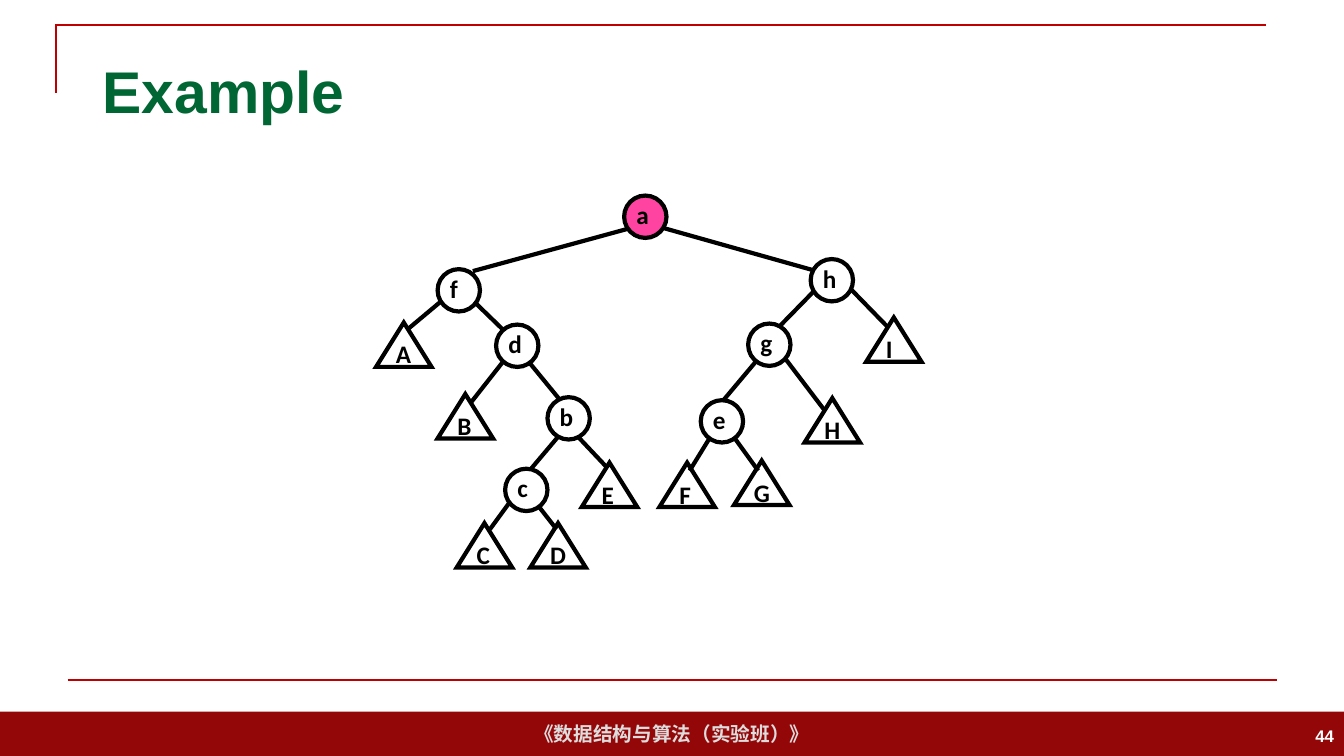
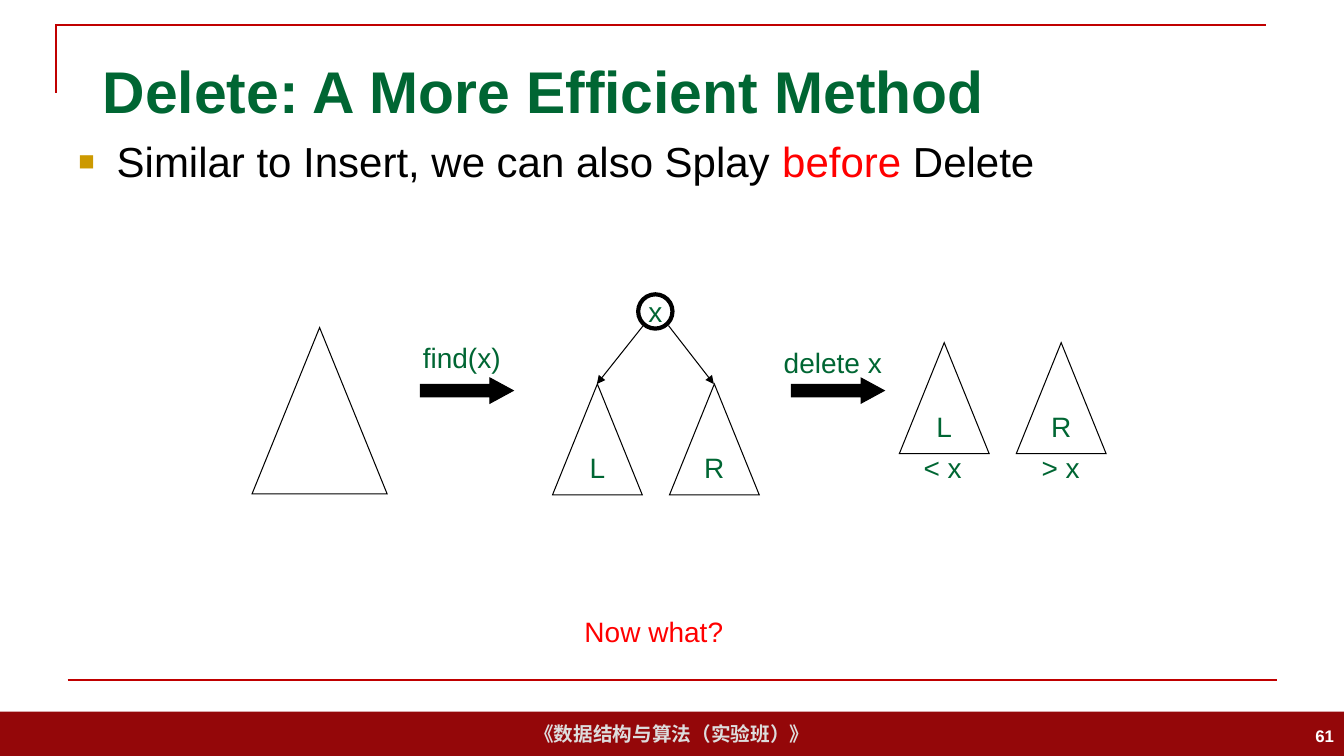
"""Build two slides on splay trees: an example tree and a more efficient delete."""
from lxml import etree
from pptx import Presentation
from pptx import util as u
from pptx.dml.color import RGBColor
from pptx.enum import shapes, text
from pptx.oxml import ns

PX = 9144
SLIDE_SIZE = (1333, 750)

BLACK = RGBColor(0, 0, 0)
WHITE = RGBColor(255, 255, 255)
GREEN = RGBColor(0x00, 0x66, 0x33)
RED = RGBColor(255, 0, 0)
RULE_RED = RGBColor(0xC0, 0, 0)
BAND_RED = RGBColor(0x94, 0x07, 0x09)
FOOTER_GREY = RGBColor(0xDD, 0xDD, 0xDD)
PINK = RGBColor(0xFF, 0x43, 0xA1)
GOLD = "CC9900"

LEFT, CENTER, RIGHT = text.PP_ALIGN.LEFT, text.PP_ALIGN.CENTER, text.PP_ALIGN.RIGHT
TOP, MIDDLE = text.MSO_ANCHOR.TOP, text.MSO_ANCHOR.MIDDLE
OVAL = shapes.MSO_SHAPE.OVAL
TRIANGLE = shapes.MSO_SHAPE.ISOSCELES_TRIANGLE
ARROW = shapes.MSO_SHAPE.RIGHT_ARROW

TITLE_FONT = dict(name="Arial", size=u.Pt(42), bold=True, color=GREEN)
FOOTER_FONT = dict(name="Arial", size=u.Pt(14), bold=True, color=FOOTER_GREY)
NUMBER_FONT = dict(name="Arial", size=u.Pt(12), bold=True, color=WHITE)
NODE_FONT = dict(name="Calibri", size=u.Pt(18), bold=True, color=BLACK)
LABEL_FONT = dict(name="Arial", size=u.Pt(20), color=GREEN)
BODY_FONT = dict(name="Arial", size=u.Pt(30), color=BLACK)

FOOTER = "《数据结构与算法（实验班）》"
CORNER = [(56, 92), (56, 25), (1256, 25)]
BOTTOM_RULE = (67, 675, 1267, 675)

NODE_SIZE, LEAF_SIZE = (42, 42), (55, 44)
NODE_MARGINS = (6, 1, 10, 5)
NODES = {
    "h": (804, 257), "g": (742, 321), "f": (434, 267), "e": (695, 397),
    "d": (492, 322), "c": (501, 465), "b": (543, 394), "a": (619, 194),
}
OPEN_LEAVES = {
    "H": (798, 395), "I": (859, 315), "G": (728, 457), "A": (373, 320),
    "C": (453, 519), "D": (526, 519), "F": (654, 459),
}
FILLED_LEAVES = {"E": (577, 459), "B": (434, 391)}
EDGES = {
    "ah": (643, 222, 817, 271), "af": (630, 225, 469, 269),
    "fA": (441, 296, 404, 327), "fd": (471, 300, 505, 333),
    "dB": (498, 360, 465, 402), "db": (522, 356, 554, 395),
    "bc": (558, 428, 520, 473), "bE": (573, 433, 606, 468),
    "cC": (505, 499, 486, 525), "cD": (523, 488, 552, 525),
    "hg": (813, 283, 770, 327), "hI": (844, 287, 880, 324),
    "ge": (752, 356, 715, 400), "gH": (779, 356, 817, 406),
    "eF": (703, 436, 684, 467), "eG": (726, 431, 752, 467),
}

BULLET_RUNS = [("Similar to Insert, we can also Splay ", BLACK), ("before", RED), (" Delete", BLACK)]
WHOLE_TREE = (250, 325, 134, 165)
SUBTREE_SIZE, SUBTREE_STEP = (89, 110), 116
JOINED_PAIR, SPLIT_PAIR = (548, 381), (892, 340)
ROOT = (633, 292, 34, 34)
ROOT_EXITS = [(638, 323), (663, 323)]
STEP_ARROWS = [(417, 375, 92, 25), (785, 375, 92, 25)]
CAPTIONS = [
    ("find(x)", (409, 333, 98, 44), GREEN),
    ("delete x", (767, 338, 118, 44), GREEN),
    ("< x", (906, 442, 58, 44), GREEN),
    ("> x", (1023, 442, 58, 44), GREEN),
    ("Now what?", (569, 605, 159, 44), RED),
]


def px(values):
    return [u.Emu(value * PX) for value in values]


def set_font(font, formats):
    for name, value in formats.items():
        if name == "color":
            font.color.rgb = value
        else:
            setattr(font, name, value)


def put_text(shape, runs, formats, align=LEFT, anchor=MIDDLE, wrap=False, margins=(10, 5, 10, 5)):
    frame = shape.text_frame
    sides = zip(("margin_left", "margin_top", "margin_right", "margin_bottom"), px(margins))
    for name, value in dict(sides, word_wrap=wrap, vertical_anchor=anchor).items():
        setattr(frame, name, value)
    paragraph = frame.paragraphs[0]
    paragraph.alignment = align
    for words, color in runs:
        run = paragraph.add_run()
        run.text = words
        set_font(run.font, dict(formats, color=color or formats["color"]))
    return paragraph


def add_label(slide, box, words, formats, **layout):
    return put_text(slide.shapes.add_textbox(*px(box)), [(words, None)], formats, **layout)


def paint(shape, fill=None, line=None, width=0.75):
    shape.shadow.inherit = False
    if fill is None:
        shape.fill.background()
    else:
        shape.fill.solid()
        shape.fill.fore_color.rgb = fill
    if line is None:
        shape.line.fill.background()
    else:
        shape.line.width = u.Pt(width)
        shape.line.color.rgb = line
        etree.SubElement(shape.line._get_or_add_ln(), ns.qn("a:miter"), lim="800000")


def add_figure(slide, kind, box, **style):
    shape = slide.shapes.add_shape(kind, *px(box))
    paint(shape, **style)
    return shape


def add_line(slide, ends, color=BLACK, width=0.75, arrow=False):
    connector = slide.shapes.add_connector(shapes.MSO_CONNECTOR.STRAIGHT, *px(ends))
    connector.line.width = u.Pt(width)
    connector.line.color.rgb = color
    if arrow:
        etree.SubElement(connector.line._get_or_add_ln(), ns.qn("a:tailEnd"), type="triangle")
    etree.SubElement(connector._element.spPr, ns.qn("a:effectLst"))


def add_slide(presentation, title, number):
    slide = presentation.slides.add_slide(presentation.slide_layouts[6])
    band = add_figure(slide, shapes.MSO_SHAPE.RECTANGLE, (0, 706, SLIDE_SIZE[0], 44), fill=BAND_RED)
    put_text(band, [(FOOTER, None)], FOOTER_FONT, align=CENTER)
    builder = slide.shapes.build_freeform(*CORNER[0], scale=PX)
    builder.add_line_segments(CORNER[1:], close=False)
    paint(builder.convert_to_shape(), line=RULE_RED, width=1.5)
    add_line(slide, BOTTOM_RULE, RULE_RED, 1.5)
    add_label(slide, (92, 40, 1150, 99), title, TITLE_FONT, wrap=True)
    add_label(slide, (1033, 710, 300, 40), str(number), NUMBER_FONT, align=RIGHT, wrap=True)
    return slide


def add_tree_parts(slide, kind, parts, size, fill=None):
    for name, place in parts.items():
        color = PINK if name == "a" else fill
        shape = add_figure(slide, kind, place + size, fill=color, line=BLACK, width=3)
        put_text(shape, [(name, None)], NODE_FONT, margins=NODE_MARGINS)


def add_subtrees(slide, left, top):
    apexes = []
    for index, name in enumerate("LR"):
        start = left + index * SUBTREE_STEP
        shape = add_figure(slide, TRIANGLE, (start, top) + SUBTREE_SIZE, line=BLACK)
        put_text(shape, [(name, None)], LABEL_FONT, align=CENTER)
        apexes.append((start + SUBTREE_SIZE[0] // 2, top))
    return apexes


def add_bullet(slide):
    body = slide.shapes.add_textbox(*px((68, 135, 1200, 491)))
    paragraph = put_text(body, BULLET_RUNS, BODY_FONT, anchor=TOP, wrap=True)
    paragraph.line_spacing = 0.9
    properties = paragraph._p.get_or_add_pPr()
    properties.set("marL", str(38 * PX))
    properties.set("indent", str(-38 * PX))
    color = etree.SubElement(properties, ns.qn("a:buClr"))
    etree.SubElement(color, ns.qn("a:srgbClr"), val=GOLD)
    etree.SubElement(properties, ns.qn("a:buSzPct"), val="65000")
    etree.SubElement(properties, ns.qn("a:buFont"), typeface="Arial")
    etree.SubElement(properties, ns.qn("a:buChar"), char="■")


def build_example(presentation):
    slide = add_slide(presentation, "Example", 44)
    add_tree_parts(slide, TRIANGLE, OPEN_LEAVES, LEAF_SIZE)
    for ends in EDGES.values():
        add_line(slide, ends, width=3)
    add_tree_parts(slide, OVAL, NODES, NODE_SIZE, WHITE)
    add_tree_parts(slide, TRIANGLE, FILLED_LEAVES, LEAF_SIZE, WHITE)


def build_delete(presentation):
    slide = add_slide(presentation, "Delete: A More Efficient Method", 61)
    add_figure(slide, TRIANGLE, WHOLE_TREE, line=BLACK)
    for box in STEP_ARROWS:
        arrow = add_figure(slide, ARROW, box, fill=BLACK, line=BLACK)
        arrow.adjustments[1] = 0.92
    apexes = add_subtrees(slide, *JOINED_PAIR)
    root = add_figure(slide, OVAL, ROOT, line=BLACK, width=3)
    put_text(root, [("x", None)], LABEL_FONT, align=CENTER)
    for start, end in zip(ROOT_EXITS, apexes):
        add_line(slide, start + end, arrow=True)
    add_subtrees(slide, *SPLIT_PAIR)
    for words, box, color in CAPTIONS:
        add_label(slide, box, words, dict(LABEL_FONT, color=color), align=CENTER, anchor=TOP)
    add_bullet(slide)


def main():
    presentation = Presentation()
    presentation.slide_width, presentation.slide_height = px(SLIDE_SIZE)
    build_example(presentation)
    build_delete(presentation)
    presentation.save("out.pptx")


if __name__ == "__main__":
    main()
